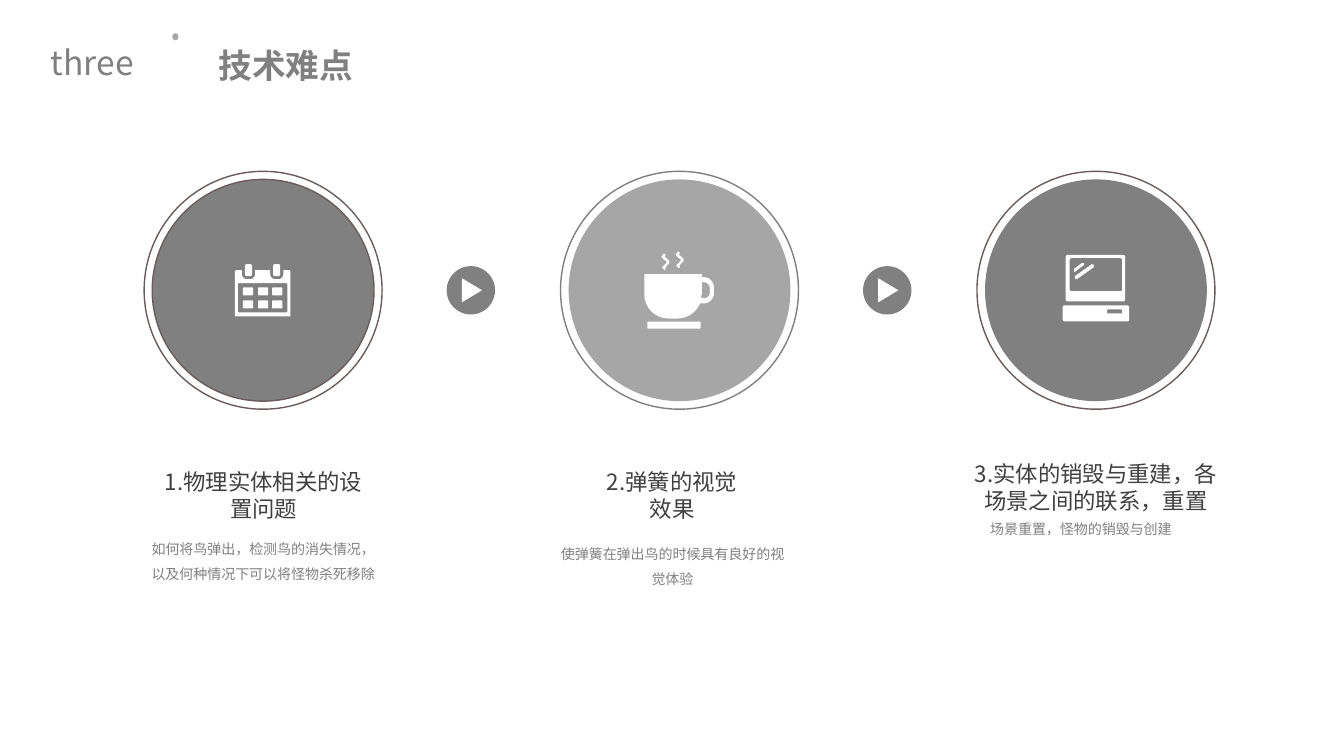
from math import cos, radians, sin

from lxml.etree import SubElement
from pptx import Presentation
from pptx.dml.color import RGBColor
from pptx.enum.shapes import MSO_SHAPE
from pptx.enum.text import MSO_ANCHOR, PP_ALIGN
from pptx.oxml.ns import qn
from pptx.util import Pt

OVAL = MSO_SHAPE.OVAL
WEDGE = MSO_SHAPE.ISOSCELES_TRIANGLE
MIDDLE = MSO_ANCHOR.MIDDLE
TOP = MSO_ANCHOR.TOP
CENTER = PP_ALIGN.CENTER
JUSTIFY = PP_ALIGN.JUSTIFY

PX = 9144
FONT = "Noto Sans CJK SC"
WHITE = RGBColor(0xFF, 0xFF, 0xFF)
GRAY = RGBColor(0x80, 0x80, 0x80)
LIGHT = RGBColor(0xA6, 0xA6, 0xA6)
DARK = RGBColor(0x40, 0x40, 0x40)
BROWN = RGBColor(0x6A, 0x5C, 0x5C)

RING = 236
INSET = 8
STEP = 413


def px(*sizes):
    return [round(size * PX) for size in sizes]


def paint(shape, fill=None, line=None):
    shape.shadow.inherit = False
    if fill is None:
        shape.fill.background()
    else:
        shape.fill.solid()
        shape.fill.fore_color.rgb = fill
    if line is None:
        shape.line.fill.background()
    else:
        shape.line.color.rgb = line
        shape.line.width = Pt(1)


def add_form(slide, kind, box, fill=None, line=None):
    shape = slide.shapes.add_shape(kind, *px(*box))
    paint(shape, fill, line)
    return shape


def add_text(slide, box, text, size, color, align=CENTER, wrap=True,
             bold=False, spacing=None, anchor=TOP, insets=None):
    frame = slide.shapes.add_textbox(*px(*box)).text_frame
    frame.word_wrap = wrap
    frame.vertical_anchor = anchor
    if insets:
        (frame.margin_left, frame.margin_top,
         frame.margin_right, frame.margin_bottom) = px(*insets)
    frame.text = text
    line = frame.paragraphs[0]
    line.alignment = align
    if spacing:
        line.line_spacing = spacing
    font = line.runs[0].font
    font.name, font.size, font.bold = FONT, Pt(size), bold
    font.color.rgb = color
    SubElement(line.runs[0]._r.rPr, qn("a:ea"), typeface=FONT)


def arc(x, y, radius, start, end):
    angles = [radians(start + (end - start) * i / 8) for i in range(9)]
    return [(x + radius * cos(a), y + radius * sin(a)) for a in angles]


def pill(x, y, w, h, r=1):
    right, low = x + w - r, y + h - r
    return (arc(x + r, y + r, r, 180, 270) + arc(right, y + r, r, 270, 360)
            + arc(right, low, r, 0, 90) + arc(x + r, low, r, 90, 180))


def add_path(slide, left, top, *rings):
    rings = [[px(left + x, top + y) for x, y in ring] for ring in rings]
    pen = slide.shapes.build_freeform(*rings[0][0], scale=1.0)
    for i, ring in enumerate(rings):
        if i:
            pen.move_to(*ring[0])
        pen.add_line_segments(ring[1:], close=True)
    paint(pen.convert_to_shape(), WHITE)


def add_dates(slide, left, top):
    for x in (98, 113, 127):
        for y in (115, 128):
            add_path(slide, left, top, pill(x, y, 10, 8))
    edge = [(90, 99), (91, 98)]
    for x in (97, 125):
        add_path(slide, left, top, pill(x + 3, 92, 7, 12, 2))
        edge += [(x, 98)] + arc(x + 5, 102, 5, 180, 90)
        edge += arc(x + 8, 102, 5, 90, 0) + [(x + 13, 98)]
    edge += [(144, 98), (145, 99), (145, 144), (90, 144)]
    add_path(slide, left, top, edge, pill(93, 111, 49, 29))


def add_cup(slide, left, top):
    bowl = ([(83, 102), (140, 102), (140, 105)]
            + arc(142, 115, 10, -90, 0) + arc(142, 121, 10, 0, 90)
            + arc(116, 122, 24, 22, 90) + arc(107, 122, 24, 90, 180))
    grip = ([(140, 110)] + arc(142, 116, 6, -90, 0)
            + arc(142, 120, 6, 0, 90) + [(139, 125), (140, 122)])
    add_path(slide, left, top, bowl, grip)
    add_path(slide, left, top, pill(86, 149, 53, 7))
    steam = [(3, 16), (1, 14), (1, 13), (4, 10), (5, 9), (5, 7), (3, 6),
             (0, 3), (2, 0), (4, 0), (4, 2), (3, 3), (5, 4), (8, 7),
             (8, 9), (5, 12), (4, 14), (4, 16)]
    for x, y in ((100, 82), (114, 80)):
        add_path(slide, left + x, top + y, steam)


def add_desk(slide, left, top):
    add_path(slide, left, top, pill(85, 133, 66, 16, 2), pill(129, 137, 15, 4))
    add_path(slide, left, top, pill(88, 83, 59, 46, 2), pill(92, 86, 52, 33, 2))
    add_path(slide, left, top, [(96, 97), (104, 91), (106, 91), (106, 93),
                                (98, 99), (97, 100), (96, 99)])
    add_path(slide, left, top, [(97, 104), (114, 92), (116, 93), (116, 95),
                                (99, 107), (98, 107), (97, 106)])


def add_badge(slide, left, top, fill, rim, edge, icon):
    side = RING - 2 * INSET
    add_form(slide, OVAL, (left + INSET, top + INSET, side, side), fill, edge)
    add_form(slide, OVAL, (left, top, RING, RING), line=rim)
    icon(slide, left, top)


def add_arrow(slide, left, top):
    add_form(slide, OVAL, (left, top, 48, 48), GRAY)
    add_form(slide, WEDGE, (left + 13, top + 14, 24, 20), WHITE).rotation = 90


def add_head(slide, left, top):
    add_form(slide, OVAL, (left + 131, top, 6, 7), LIGHT)
    add_text(slide, (left, top + 4, 103, 50), "three", 24, GRAY, wrap=False)
    add_text(slide, (left + 150, top, 253, 68), "技术难点", 24, GRAY, JUSTIFY,
             bold=True, spacing=0.9, anchor=MIDDLE, insets=(27, 17, 30, 17))


def add_note(slide, head_box, head, body_box, body):
    add_text(slide, head_box, head, 16, DARK)
    add_text(slide, body_box, body, 10, GRAY, spacing=Pt(18))


def main():
    deck = Presentation()
    deck.slide_width, deck.slide_height = px(1333, 750)
    slide = deck.slides.add_slide(deck.slide_layouts[6])
    add_head(slide, 40, 33)
    badges = [
        (GRAY, BROWN, BROWN, add_dates),
        (LIGHT, GRAY, None, add_cup),
        (GRAY, BROWN, None, add_desk),
    ]
    for i, badge in enumerate(badges):
        add_badge(slide, 143 + i * STEP, 170, *badge)
    for i in range(2):
        add_arrow(slide, 443 + i * STEP, 264)
    notes = [
        ((149, 460, 225, 64), "1.物理实体相关的设置问题",
         (139, 523, 244, 60),
         "如何将鸟弹出，检测鸟的消失情况，以及何种情况下可以将怪物杀死移除"),
        ((592, 460, 149, 64), "2.弹簧的视觉效果",
         (545, 528, 244, 60), "使弹簧在弹出鸟的时候具有良好的视觉体验"),
        ((950, 452, 274, 64), "3.实体的销毁与重建，各场景之间的联系，重置",
         (950, 503, 244, 35), "场景重置，怪物的销毁与创建"),
    ]
    for note in notes:
        add_note(slide, *note)
    deck.save("out.pptx")


if __name__ == "__main__":
    main()
